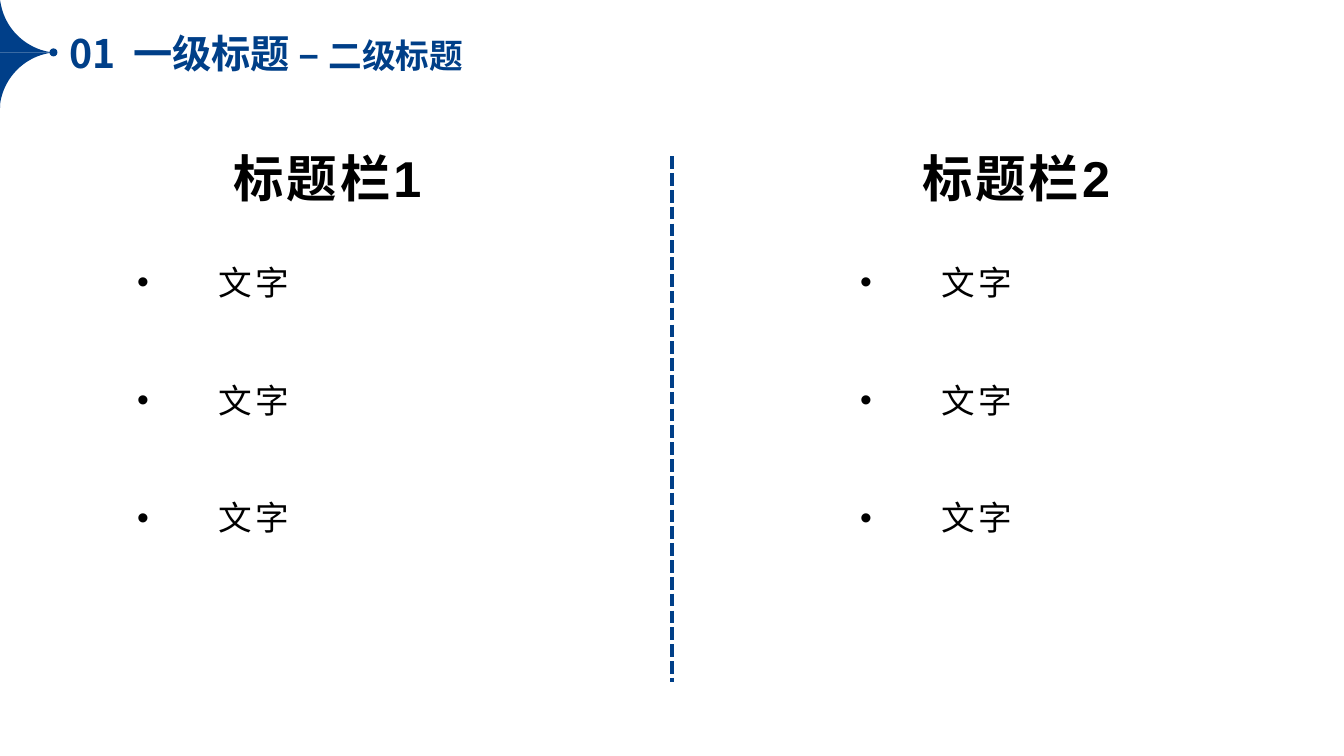
"""Build a two-column comparison slide with a section heading."""
from lxml import etree
from pptx import Presentation
from pptx.dml.color import RGBColor
from pptx.enum.dml import MSO_LINE
from pptx.enum.shapes import MSO_CONNECTOR, MSO_SHAPE
from pptx.enum.text import MSO_ANCHOR, MSO_AUTO_SIZE, PP_ALIGN
from pptx.oxml.ns import qn
from pptx.util import Inches, Pt

NAVY = RGBColor(0x00, 0x3F, 0x88)
MARK = RGBColor(0x00, 0x3F, 0x89)
BLACK = RGBColor(0, 0, 0)
LATIN, HAN = "Arial", "Noto Sans CJK SC"
DASH = MSO_LINE.SQUARE_DOT
LINE, OVAL = MSO_CONNECTOR.STRAIGHT, MSO_SHAPE.OVAL
TOP, FIXED = MSO_ANCHOR.TOP, MSO_AUTO_SIZE.NONE
LEFT, MID = PP_ALIGN.LEFT, PP_ALIGN.CENTER

TITLE = [("01", 28, HAN, 0), (" ", 28, HAN, 6), ("一级标题 ", 28, HAN, 0),
         ("– ", 28, LATIN, 0), ("二级标题", 24, HAN, 0)]
COLS = [("标题栏1", ["文字"] * 3), ("标题栏2", ["文字"] * 3)]
HEADS, LISTS = (1.26, 8.09), (1.26, 8.43)
WIDE, HIGH = 13.33, 7.5
COL = 3.98
AXIS = 0.52
INDENT = 0.81
GAP = 55.2
CURVES = [
    ((0, 0.55), [(0.47, 0.01), (0.22, 0.06), (0.03, 0.27), (0, 0.52)]),
    ((0, -0.52), [(0.52, 0), (0.27, -0.03), (0.06, -0.22), (0.01, -0.47)]),
]


def place(box, left, top, width, height):
    """Position a placeholder and return its text frame."""
    box.left, box.top = Inches(left), Inches(top)
    box.width, box.height = Inches(width), Inches(height)
    frame = box.text_frame
    frame.word_wrap, frame.auto_size = True, FIXED
    frame.vertical_anchor = TOP
    return frame


def write(para, text, size, color, bold=False, face=LATIN, space=0):
    """Add one styled run."""
    run = para.add_run()
    run.text = text
    font = run.font
    font.size, font.bold, font.name = Pt(size), bold, face
    font.color.rgb = color
    props = run._r.get_or_add_rPr()
    if space:
        props.set("spc", str(space * 100))
    if face == HAN:
        latin = props.find(qn("a:latin"))
        east = etree.Element(qn("a:ea"), typeface=face)
        latin.addnext(east)


def style(para, align, before=0, mark=False):
    """Set paragraph spacing, alignment and bullet."""
    props = para._p.get_or_add_pPr()
    indent = Inches(INDENT) if mark else 0
    props.set("marL", str(indent))
    props.set("indent", str(-indent))
    if mark:
        etree.SubElement(props, qn("a:buFont"), typeface=LATIN)
        etree.SubElement(props, qn("a:buChar"), char="•")
    else:
        etree.SubElement(props, qn("a:buNone"))
    para.alignment = align
    para.space_before, para.space_after = Pt(before), Pt(0)


def paint(shape):
    """Fill a mark without outline or shadow."""
    shape.shadow.inherit = False
    shape.fill.solid()
    shape.fill.fore_color.rgb = MARK
    shape.line.fill.background()


def bezier(ends, steps=24):
    """Sample a cubic curve."""
    a, b, c, d = ends
    for n in range(steps + 1):
        t = n / steps
        u = 1 - t
        yield tuple(u**3 * p + 3 * u * u * t * q + 3 * u * t * t * r + t**3 * s
                    for p, q, r, s in zip(a, b, c, d))


def draw_mark(shapes):
    """Draw the pointed corner and its dot."""
    for tip, ends in CURVES:
        path = [(0.52, 0), *bezier(ends), tip]
        form = shapes.build_freeform(0, Inches(AXIS))
        form.add_line_segments([(Inches(x), Inches(AXIS + y)) for x, y in path])
        paint(form.convert_to_shape())
    size = 0.08
    paint(shapes.add_shape(OVAL, Inches(0.49), Inches(AXIS - size / 2),
                           Inches(size), Inches(size)))


def draw_rule(shapes):
    """Draw the dashed rule between the columns."""
    rule = shapes.add_connector(LINE, Inches(WIDE / 2), Inches(1.55),
                                Inches(WIDE / 2), Inches(6.77))
    rule.line.color.rgb, rule.line.width = NAVY, Pt(3)
    rule.line.dash_style = DASH
    etree.SubElement(rule._element.spPr, qn("a:effectLst"))


def main():
    """Assemble and save the slide."""
    deck = Presentation()
    deck.slide_width, deck.slide_height = Inches(WIDE), Inches(HIGH)
    slide = deck.slides.add_slide(deck.slide_layouts[4])
    spots = slide.placeholders

    para = place(spots[0], 0.59, 0.24, 6.65, 0.57).paragraphs[0]
    style(para, LEFT)
    for text, size, face, space in TITLE:
        write(para, text, size, NAVY, True, face, space)

    for n, (head, items) in enumerate(COLS):
        para = place(spots[2 * n + 1], HEADS[n], 1.41, COL, 0.71).paragraphs[0]
        style(para, MID)
        write(para, head, 36, BLACK, True, space=2)
        frame = place(spots[2 * n + 2], LISTS[n], 2.55, COL, 2.93)
        for row, item in enumerate(items):
            para = frame.add_paragraph() if row else frame.paragraphs[0]
            style(para, LEFT, GAP if row else 0, True)
            write(para, item, 24, BLACK, space=2)

    draw_mark(slide.shapes)
    draw_rule(slide.shapes)
    deck.save("out.pptx")


if __name__ == "__main__":
    main()
